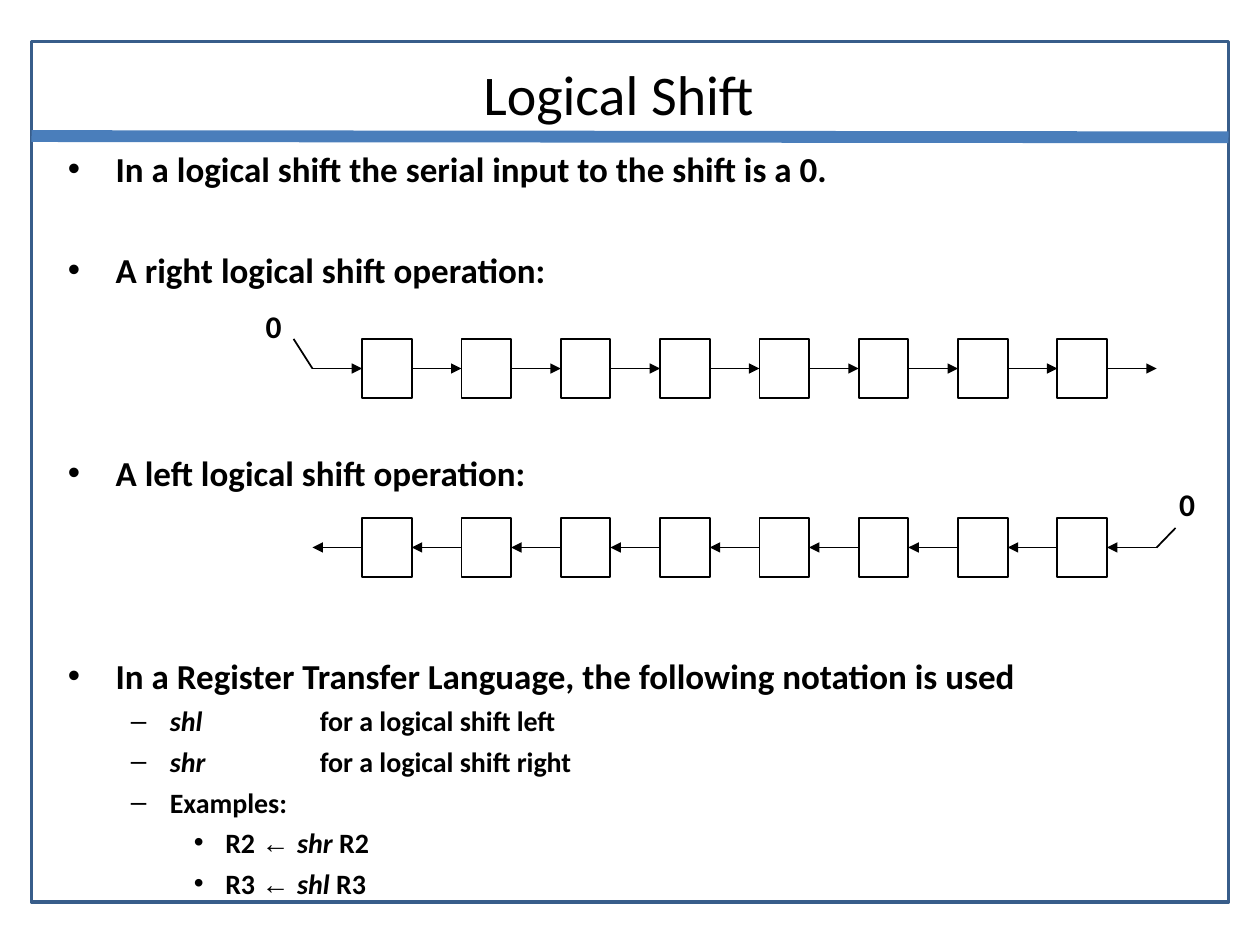
from lxml import etree
from pptx import Presentation
from pptx.dml.color import RGBColor
from pptx.enum.shapes import MSO_CONNECTOR, MSO_SHAPE
from pptx.enum.text import PP_ALIGN
from pptx.oxml.ns import qn
from pptx.util import Inches, Pt

RECT = MSO_SHAPE.RECTANGLE
STRAIGHT = MSO_CONNECTOR.STRAIGHT
LEFT, CENTER = PP_ALIGN.LEFT, PP_ALIGN.CENTER

COLORS = {"text": "000000", "frame": "385D8A", "rule": "4A7EBB"}
BODY = {"name": "Calibri", "size": Pt(20), "bold": True}
SMALL = {**BODY, "size": Pt(16)}
ITALIC = {**SMALL, "italic": True}
ARROW = {**SMALL, "name": "Arial"}
LEVELS = [
    {"indent": 0.38, "hang": 0.38, "bullet": "•"},
    {"indent": 0.81, "hang": 0.31, "bullet": "–"},
    {"indent": 1.25, "hang": 0.25, "bullet": "•"},
]
ITEMS = [
    (0, 0, [("In a logical shift the serial input to the shift is a 0.", BODY)]),
    (0, 34, [("A right logical shift operation:", BODY)]),
    (0, 92, [("A left logical shift operation:", BODY)]),
    (0, 92, [("In a Register Transfer Language, the following notation is used", BODY)]),
    (1, 4, [("shl\t", ITALIC), ("for a logical shift left", SMALL)]),
    (1, 4, [("shr\t", ITALIC), ("for a logical shift right", SMALL)]),
    (1, 4, [("Examples:", SMALL)]),
    (2, 4, [("R2 ", SMALL), ("← ", ARROW), ("shr", ITALIC), (" R2", SMALL)]),
    (2, 4, [("R3 ", SMALL), ("← ", ARROW), ("shl", ITALIC), (" R3", SMALL)]),
]
CELLS = 8


def rgb(key):
    """Return the named colour."""
    return RGBColor.from_string(COLORS[key])


def add_run(p, text, fmt):
    """Append a formatted run to a paragraph."""
    r = p.add_run()
    r.text = text
    for name, value in fmt.items():
        setattr(r.font, name, value)
    r.font.color.rgb = rgb("text")


def add_text_frame(s, left, top, width, height, wrap=True):
    """Add a text box and return its text frame."""
    tf = s.shapes.add_textbox(*map(Inches, (left, top, width, height))).text_frame
    tf.word_wrap = wrap
    return tf


def add_label(s, box, text, fmt, align=LEFT, wrap=True):
    """Add a text box holding one line."""
    p = add_text_frame(s, *box, wrap).paragraphs[0]
    p.alignment = align
    add_run(p, text, fmt)


def add_rect(s, left, top, width, height, color, weight):
    """Add an unfilled outlined rectangle."""
    sp = s.shapes.add_shape(RECT, *map(Inches, (left, top, width, height)))
    sp.shadow.inherit = False
    sp.fill.background()
    sp.line.color.rgb = rgb(color)
    sp.line.width = Pt(weight)


def add_line(s, x1, y1, x2, y2, color="text", weight=1, arrow=False):
    """Add a straight line, with an arrowhead at its end if asked."""
    cxn = s.shapes.add_connector(STRAIGHT, *map(Inches, (x1, y1, x2, y2)))
    cxn.line.color.rgb = rgb(color)
    cxn.line.width = Pt(weight)
    if arrow:
        etree.SubElement(cxn.line._get_or_add_ln(), qn("a:tailEnd"), type="triangle")
    etree.SubElement(cxn._element.spPr, qn("a:effectLst"))


def add_header(s, left, top, width, height):
    """Draw the slide frame with its title and rule."""
    add_rect(s, left, top, width, height, "frame", 2)
    add_line(s, left, top + 0.75, left + width, top + 0.76, "rule", 6.75)
    add_label(s, (left + 0.5, top + 0.09, 8.42, 0.64), "Logical Shift ",
              {"name": "Calibri", "size": Pt(32)}, CENTER)


def set_bullet(p, indent, hang, bullet):
    """Give a paragraph a hanging bullet and a tab stop."""
    pPr = p._p.get_or_add_pPr()
    pPr.set("marL", str(Inches(indent)))
    pPr.set("indent", str(-Inches(hang)))
    etree.SubElement(pPr, qn("a:buFont"), typeface="Arial")
    etree.SubElement(pPr, qn("a:buChar"), char=bullet)
    tabs = etree.SubElement(pPr, qn("a:tabLst"))
    etree.SubElement(tabs, qn("a:tab"), pos=str(Inches(2)), algn="l")


def add_body(s, left, top, width, height):
    """Write the bulleted text."""
    tf = add_text_frame(s, left, top, width, height)
    for i, (level, before, runs) in enumerate(ITEMS):
        p = tf.add_paragraph() if i else tf.paragraphs[0]
        p.level = level
        set_bullet(p, **LEVELS[level])
        p.space_before = Pt(before)
        for text, fmt in runs:
            add_run(p, text, fmt)


def add_register(s, left, top, width, height, to_right, tip, label):
    """Draw a shift register whose serial input is a 0."""
    unit = width / (2 * CELLS + 1)
    mid = top + height / 2
    for i in range(CELLS):
        add_rect(s, left + (2 * i + 1) * unit, top, unit, height, "text", 1)
    for i in range(CELLS + 1):
        start = left + 2 * i * unit
        ends = (start, start + unit) if to_right else (start + unit, start)
        add_line(s, ends[0], mid, ends[1], mid, arrow=True)
    entry = left if to_right else left + width
    add_line(s, entry, mid, entry + tip[0], top + tip[1])
    add_label(s, (entry + label[0], top + label[1], 0.32, 0.4), "0",
              {**BODY, "size": Pt(18)}, wrap=False)


def main():
    """Build and save the slide."""
    prs = Presentation()
    prs.slide_width, prs.slide_height = Inches(10), Inches(7.5)
    s = prs.slides.add_slide(prs.slide_layouts[6])
    add_header(s, 0.25, 0.33, 9.5, 6.83)
    add_body(s, 0.44, 1.12, 8.97, 6.21)
    add_register(s, 2.48, 2.69, 6.7, 0.47, True, (-0.15, 0), (-0.47, -0.3))
    add_register(s, 2.48, 4.11, 6.7, 0.47, False, (0.15, 0.08), (0.08, -0.31))
    prs.save("out.pptx")


if __name__ == "__main__":
    main()
